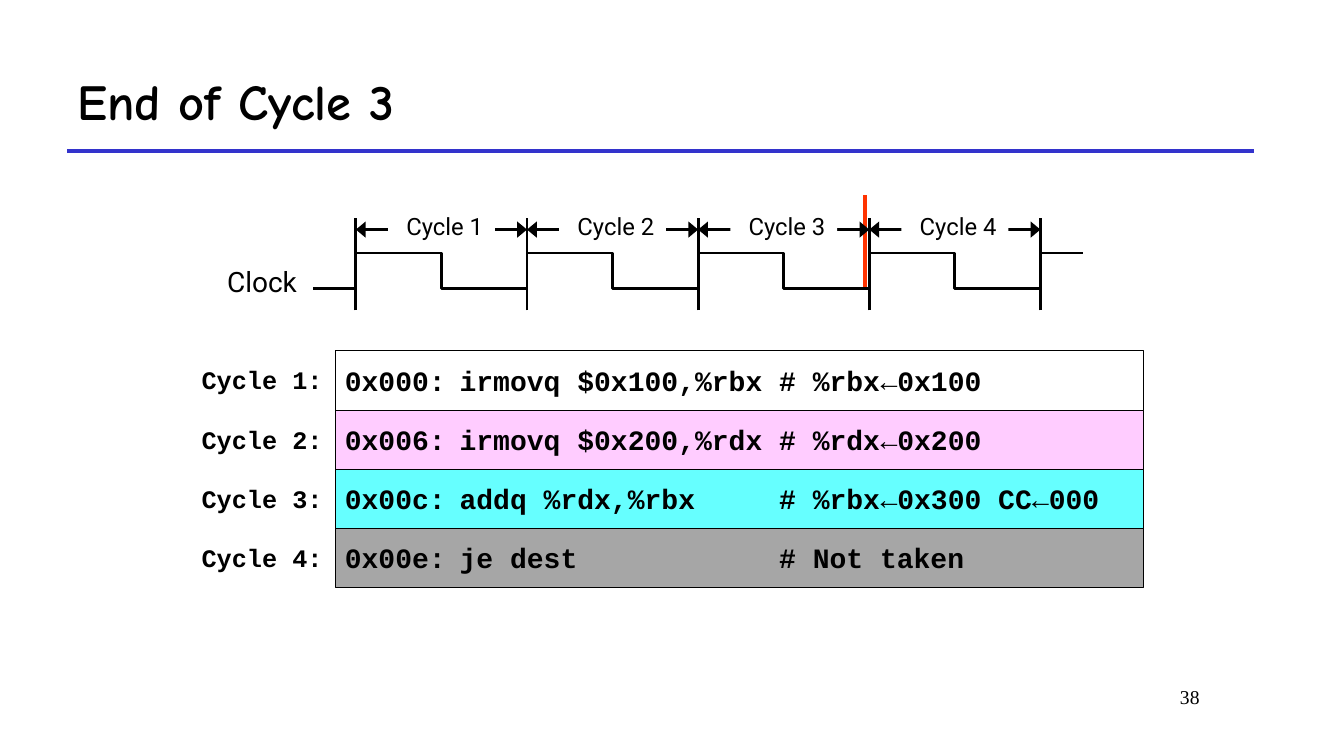
import itertools

import pptx
import pptx.dml.color
import pptx.enum.shapes
import pptx.enum.text
import pptx.oxml.ns
import pptx.util
import lxml.etree

Pt = pptx.util.Pt
RGBColor = pptx.dml.color.RGBColor
Anchor = pptx.enum.text.MSO_ANCHOR
Align = pptx.enum.text.PP_ALIGN

BLACK = RGBColor(0x00, 0x00, 0x00)
WHITE = RGBColor(0xFF, 0xFF, 0xFF)
PINK = RGBColor(0xFF, 0xCC, 0xFF)
CYAN = RGBColor(0x66, 0xFF, 0xFF)
GRAY = RGBColor(0xA6, 0xA6, 0xA6)
RED = RGBColor(0xFF, 0x33, 0x00)
BLUE = RGBColor(0x33, 0x33, 0xCC)

CYCLE_COUNT = 4
PROGRAM = [
    ("0x000:", "irmovq $0x100,%rbx # %rbx←0x100", WHITE),
    ("0x006:", "irmovq $0x200,%rdx # %rdx←0x200", PINK),
    ("0x00c:", "addq %rdx,%rbx     # %rbx←0x300 CC←000", CYAN),
    ("0x00e:", "je dest            # Not taken", GRAY),
]


def write_text(shape, text, *, size, font="Roboto", bold=False, align=Align.LEFT,
               anchor=Anchor.TOP, margins=(0, 0, 0, 0), spacing=0.9):
    frame = shape.text_frame
    frame.word_wrap = True
    frame.auto_size = pptx.enum.text.MSO_AUTO_SIZE.NONE
    frame.vertical_anchor = anchor
    frame.margin_left, frame.margin_top, frame.margin_right, frame.margin_bottom = map(Pt, margins)
    paragraph = frame.paragraphs[0]
    paragraph.alignment = align
    paragraph.line_spacing = spacing
    for is_arrow, characters in itertools.groupby(text, lambda character: character == "←"):
        run = paragraph.add_run()
        run.text = "".join(characters)
        run.font.name = font
        run.font.size = Pt(size)
        run.font.bold = bold and not is_arrow
        run.font.color.rgb = BLACK


def add_text(slide, box, text, **text_format):
    shape = slide.shapes.add_textbox(*map(Pt, box))
    write_text(shape, text, **text_format)


def add_line(slide, start, end, color=BLACK, width=0):
    line = slide.shapes.add_connector(
        pptx.enum.shapes.MSO_CONNECTOR.STRAIGHT, *map(Pt, start + end))
    line.line.color.rgb = color
    line.line.width = Pt(width)
    properties = line.element.find(pptx.oxml.ns.qn("p:spPr"))
    lxml.etree.SubElement(properties, pptx.oxml.ns.qn("a:effectLst"))


def add_rectangle(slide, box, fill):
    shape = slide.shapes.add_shape(
        pptx.enum.shapes.MSO_SHAPE.RECTANGLE, *map(Pt, box))
    shape.shadow.inherit = False
    shape.fill.solid()
    shape.fill.fore_color.rgb = fill
    shape.line.fill.background()
    return shape


def add_outline(slide, points, close):
    corners = [tuple(map(Pt, point)) for point in points]
    builder = slide.shapes.build_freeform(*corners[0])
    builder.add_line_segments(corners[1:], close=close)
    shape = builder.convert_to_shape()
    shape.shadow.inherit = False
    return shape


def add_arrowhead(slide, tip, direction):
    x, y = tip
    base = x - direction * 7
    head = add_outline(slide, [(base, y - 5.8), tip, (base, y + 5.8)], close=True)
    head.fill.solid()
    head.fill.fore_color.rgb = BLACK
    head.line.fill.background()


def add_heading(slide, box, text):
    left, top, width, height = box
    title = slide.shapes.title
    title.left, title.top, title.width, title.height = map(Pt, box)
    write_text(title, text, size=36, font="Comic Neue", bold=True, anchor=Anchor.MIDDLE,
               margins=(7.2, 3.6, 7.2, 3.6), spacing=1)
    add_line(slide, (left, top + height), (left + width, top + height), BLUE, 3)


def add_cycle_span(slide, box, text):
    left, top, width, height = box
    right, middle = left + width, top + 8.5
    add_line(slide, (left + 6.5, middle), (right - 6.5, middle))
    add_arrowhead(slide, (left, middle), -1)
    add_arrowhead(slide, (right, middle), 1)
    label = add_rectangle(slide, (left + 23, top - 8.7, 76.3, 30.2), WHITE)
    write_text(label, text, size=17, margins=(13, 6.7, 0, 0))


def add_clock(slide, box):
    left, top, width, height = box
    period = width / CYCLE_COUNT
    high, low = top + 25.3, top + 50.7
    marker = left + 3 * period - 3.2
    add_line(slide, (marker, top - 16), (marker, top + 50.4), RED, 3)
    add_text(slide, (left - 92, top + 36, 60, 22), "Clock", size=20)
    wave = [(left - period / 4, low)]
    for cycle in range(CYCLE_COUNT):
        rise = left + cycle * period
        fall = rise + period / 2
        add_cycle_span(slide, (rise, top, period, height), f"Cycle {cycle + 1}")
        wave += [(rise, low), (rise, high), (fall, high), (fall, low)]
    right = left + width
    wave += [(right, low), (right, high), (right + period / 4, high)]
    for edge in range(CYCLE_COUNT + 1):
        x = left + edge * period
        add_line(slide, (x, top + height), (x, top))
    signal = add_outline(slide, wave, close=False)
    signal.fill.background()
    signal.line.color.rgb = BLACK
    signal.line.width = Pt(2)


def add_program(slide, box):
    left, top, width, height = box
    row_height = height / len(PROGRAM)
    code_format = {"size": 20, "font": "Courier New", "bold": True}
    for index, (address, instruction, fill) in enumerate(PROGRAM):
        row_top = top + index * row_height
        row = add_rectangle(slide, (left, row_top, width, row_height), fill)
        row.line.color.rgb = BLACK
        row.line.width = Pt(0)
        add_text(slide, (left - 96, row_top + 12.2, 92, 20), f"Cycle {index + 1}:",
                 **code_format | {"size": 18})
        add_text(slide, (left + 6.3, row_top + 11.5, 76, 22), address, **code_format)
        add_text(slide, (left + 88.3, row_top + 11.5, 480, 22), instruction, **code_format)


def main():
    presentation = pptx.Presentation()
    presentation.slide_width, presentation.slide_height = Pt(960), Pt(540)
    slide = presentation.slides.add_slide(presentation.slide_layouts[5])
    add_heading(slide, (48, 36, 848, 72), "End of Cycle 3")
    add_clock(slide, (254.2, 155.5, 489, 66.3))
    add_program(slide, (240, 250.7, 576.5, 169.2))
    add_text(slide, (728, 486, 136, 36), "38", size=14, font="Times New Roman",
             align=Align.RIGHT, margins=(7.2, 3.6, 7.2, 3.6), spacing=1)
    presentation.save("out.pptx")


if __name__ == "__main__":
    main()
